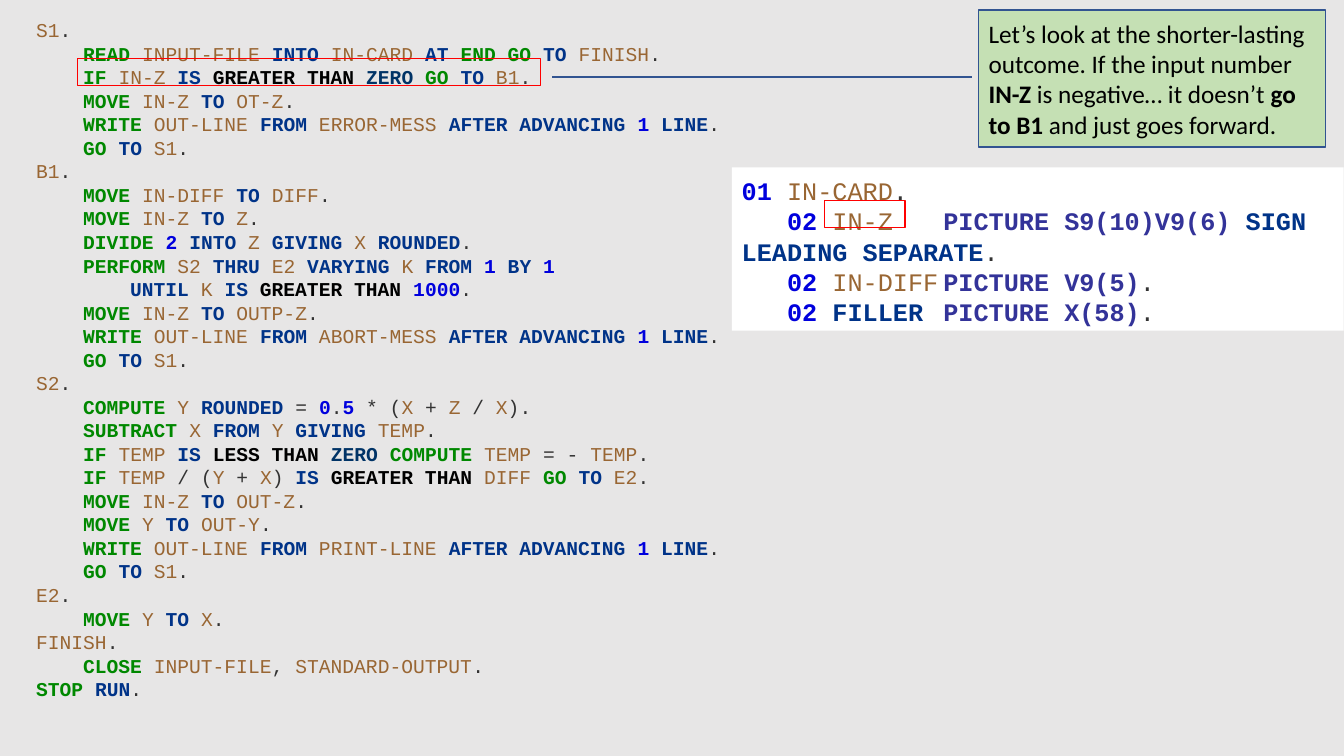
from dataclasses import dataclass
from itertools import groupby

from lxml import etree
from pptx import Presentation
from pptx import util as u
from pptx.dml.color import RGBColor
from pptx.enum import shapes, text
from pptx.oxml.ns import qn


@dataclass(frozen=True)
class Theme:
    back: str = "E7E6E6"
    note: str = "C5E0B4"
    edge: str = "325491"
    mark: str = "FF0000"
    white: str = "FFFFFF"
    black: str = "000000"
    verb: str = "008800"
    link: str = "003388"
    zero: str = "003366"
    digit: str = "0000DD"
    clause: str = "333399"
    name: str = "996633"
    sign: str = "333333"
    mono: str = "Courier New"
    sans: str = "Calibri"
    small: int = 14
    large: int = 18


T = Theme()
UNIT = 0.1
LEAD = 1.2
CHAR = 0.6

WORDS = {
    T.verb: "READ END GO IF MOVE WRITE DIVIDE PERFORM COMPUTE SUBTRACT CLOSE STOP",
    T.link: "INTO AT TO IS FROM AFTER ADVANCING LINE THRU VARYING BY UNTIL GIVING "
            "ROUNDED RUN SIGN LEADING SEPARATE FILLER",
    T.black: "GREATER LESS THAN",
    T.zero: "ZERO",
}
KEYS = {word: tone for tone, words in WORDS.items() for word in words.split()}

CODE = [
    """S1.
    READ INPUT-FILE INTO IN-CARD AT END GO TO FINISH.
    IF IN-Z IS GREATER THAN ZERO GO TO B1.
    MOVE IN-Z TO OT-Z.
    WRITE OUT-LINE FROM ERROR-MESS AFTER ADVANCING 1 LINE.
    GO TO S1.""",
    """B1.
    MOVE IN-DIFF TO DIFF.
    MOVE IN-Z TO Z.
    DIVIDE 2 INTO Z GIVING X ROUNDED.
    PERFORM S2 THRU E2 VARYING K FROM 1 BY 1
        UNTIL K IS GREATER THAN 1000.
    MOVE IN-Z TO OUTP-Z.
    WRITE OUT-LINE FROM ABORT-MESS AFTER ADVANCING 1 LINE.
    GO TO S1.""",
    """S2.
    COMPUTE Y ROUNDED = 0.5 * (X + Z / X).
    SUBTRACT X FROM Y GIVING TEMP.
    IF TEMP IS LESS THAN ZERO COMPUTE TEMP = - TEMP.
    IF TEMP / (Y + X) IS GREATER THAN DIFF GO TO E2.
    MOVE IN-Z TO OUT-Z.
    MOVE Y TO OUT-Y.
    WRITE OUT-LINE FROM PRINT-LINE AFTER ADVANCING 1 LINE.
    GO TO S1.""",
    """E2.
    MOVE Y TO X.""",
    """FINISH.
    CLOSE INPUT-FILE, STANDARD-OUTPUT.
STOP RUN.""",
]

DATA = """01 IN-CARD.
   02 IN-Z\t|PICTURE S9(10)V9(6)| SIGN LEADING SEPARATE.
   02 IN-DIFF\t|PICTURE V9(5)|.
   02 FILLER\t|PICTURE X(58)|."""

NOTE = ("Let’s look at the shorter-lasting outcome. If the input number |IN-Z| "
        "is negative… it doesn’t |go to B1| and just goes forward.")


def tone(word):
    if word.isdigit():
        return T.digit
    if not any(c.isalnum() for c in word):
        return T.sign
    return KEYS.get(word, T.name)


def code(line):
    runs = []
    for i, part in enumerate(line.split("|")):
        if i % 2:
            runs.append([part, T.clause])
            continue
        for _, chars in groupby(part, lambda c: c.isalnum() or c == "-"):
            word = "".join(chars)
            hue = tone(word)
            if runs and (word.isspace() or hue == runs[-1][1]):
                runs[-1][0] += word
            else:
                runs.append([word, hue])
    return [(word, hue, hue not in (T.name, T.sign)) for word, hue in runs]


def prose(line):
    return [(part, T.black, i % 2 == 1) for i, part in enumerate(line.split("|"))]


def write(shape, copy, runs, font, size, lead=None, tab=None, top=0.05,
          anchor=text.MSO_ANCHOR.TOP):
    frame = shape.text_frame
    frame.word_wrap = True
    frame.vertical_anchor = anchor
    frame.margin_top = u.Inches(top)
    for i, line in enumerate(copy.split("\n")):
        para = frame.paragraphs[0] if i == 0 else frame.add_paragraph()
        para.alignment = text.PP_ALIGN.LEFT
        if lead:
            para.line_spacing = u.Pt(size * lead)
        body = line.lstrip()
        props = para._p.get_or_add_pPr()
        props.set("indent", str(u.Pt((len(line) - len(body)) * CHAR * size)))
        if tab:
            stops = etree.SubElement(props, qn("a:tabLst"))
            etree.SubElement(stops, qn("a:tab"), pos=str(u.Pt(tab * CHAR * size)), algn="l")
        for word, hue, bold in runs(body):
            run = para.add_run()
            run.text = word
            run.font.name = font
            run.font.size = u.Pt(size)
            run.font.bold = bold
            run.font.color.rgb = RGBColor.from_string(hue)


def place(*cells):
    return [u.Inches(cell * UNIT) for cell in cells]


def box(slide, cells, kind=shapes.MSO_SHAPE.RECTANGLE, fill=None, line=None):
    shape = slide.shapes.add_shape(kind, *place(*cells))
    shape.shadow.inherit = False
    if fill:
        shape.fill.solid()
        shape.fill.fore_color.rgb = RGBColor.from_string(fill)
    else:
        shape.fill.background()
    if line:
        shape.line.color.rgb = RGBColor.from_string(line)
        shape.line.width = u.Pt(1)
    else:
        shape.line.fill.background()
    return shape


def note(slide, cells, tail):
    shape = box(slide, cells, shapes.MSO_SHAPE.LINE_CALLOUT_1, T.note, T.edge)
    for i, share in enumerate(tail):
        shape.adjustments[i] = share
    write(shape, NOTE, prose, T.sans, T.large, anchor=text.MSO_ANCHOR.MIDDLE)


def main():
    deck = Presentation()
    deck.slide_width, deck.slide_height = place(133.33, 75)
    slide = deck.slides.add_slide(deck.slide_layouts[6])
    slide.background.fill.solid()
    slide.background.fill.fore_color.rgb = RGBColor.from_string(T.back)

    listing = slide.shapes.add_textbox(*place(2.6, 1, 89.7, 69.7))
    write(listing, "\n".join(CODE), code, T.mono, T.small, lead=LEAD, top=0.08)
    box(slide, (7.7, 5.8, 45.9, 2.7), line=T.mark)
    note(slide, (97.1, 1, 34.4, 13.6), (0.49, -0.02, 0.49, -1.23))
    record = box(slide, (72.6, 16.6, 60.7, 16.2), fill=T.white)
    write(record, DATA, code, T.mono, T.large, lead=LEAD, tab=15, top=0.08)
    box(slide, (81.8, 19.9, 8, 2.7), line=T.mark)
    deck.save("out.pptx")


if __name__ == "__main__":
    main()
